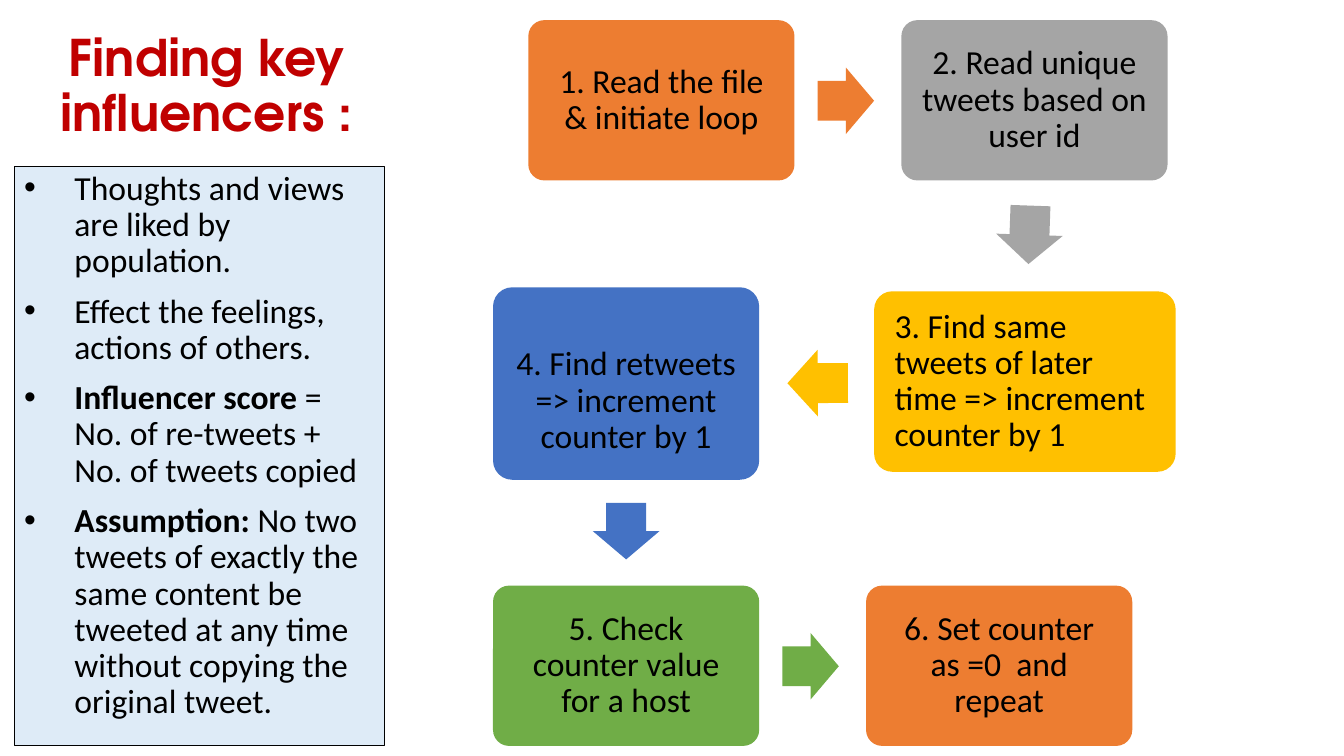
from lxml import etree
from pptx import Presentation
from pptx.dml.color import RGBColor
from pptx.enum.shapes import MSO_SHAPE
from pptx.enum.text import MSO_ANCHOR, MSO_AUTO_SIZE, PP_ALIGN
from pptx.oxml.ns import qn
from pptx.util import Inches, Pt

RECTANGLE = MSO_SHAPE.RECTANGLE
ROUNDED = MSO_SHAPE.ROUNDED_RECTANGLE
ARROW = MSO_SHAPE.RIGHT_ARROW
LEFT, CENTER = PP_ALIGN.LEFT, PP_ALIGN.CENTER
TOP, MIDDLE, BOTTOM = MSO_ANCHOR.TOP, MSO_ANCHOR.MIDDLE, MSO_ANCHOR.BOTTOM

BLACK = RGBColor(0x00, 0x00, 0x00)
RED = RGBColor(0xC0, 0x00, 0x00)
PALE_BLUE = RGBColor(0xDE, 0xEB, 0xF7)
ORANGE = RGBColor(0xED, 0x7D, 0x31)
GRAY = RGBColor(0xA5, 0xA5, 0xA5)
YELLOW = RGBColor(0xFF, 0xC0, 0x00)
BLUE = RGBColor(0x44, 0x72, 0xC4)
GREEN = RGBColor(0x70, 0xAD, 0x47)

TITLE = "Finding key influencers :"
TITLE_BOX = (-0.7, 0.7, 5.5, 0.76)
NOTES_BOX = (0.14, 1.65, 3.67, 5.75)
# (bold lead, plain text)
NOTES = [
    ("", "Thoughts and views are liked by population."),
    ("", "Effect the feelings, actions of others."),
    ("Influencer score ", "= No. of re-tweets + No. of tweets copied"),
    ("Assumption: ", "No two tweets of exactly the same content be tweeted "
                     "at any time without copying the original tweet."),
]
# (text, box, colour, alignment, top inset)
STEP_INSET = 0.15
STEPS = [
    ("1. Read the file & initiate loop",
     (5.24, 0.2, 2.64, 1.59), ORANGE, CENTER, STEP_INSET),
    ("2. Read unique tweets based on user id",
     (8.94, 0.2, 2.64, 1.59), GRAY, CENTER, STEP_INSET),
    ("3. Find same tweets of later time => increment counter by 1",
     (8.67, 2.89, 2.99, 1.79), YELLOW, LEFT, STEP_INSET),
    ("4. Find retweets => increment counter by 1",
     (4.89, 2.85, 2.64, 1.91), BLUE, CENTER, 0.5),
    ("5. Check counter value for a host",
     (4.89, 5.81, 2.64, 1.59), GREEN, CENTER, STEP_INSET),
    ("6. Set counter as =0  and repeat",
     (8.59, 5.81, 2.64, 1.59), ORANGE, CENTER, STEP_INSET),
]
# (box, rotation) of the arrow that leaves each step but the last
ARROWS = [
    ((8.11, 0.67, 0.56, 0.66), 0),
    ((9.92, 2.0, 0.58, 0.66), 92),
    ((7.81, 3.47, 0.6, 0.66), 179.8),
    ((5.93, 4.94, 0.56, 0.66), 90),
    ((7.76, 6.28, 0.56, 0.66), 0),
]

BODY_FONT = {"name": "Calibri", "size": Pt(24), "bold": False}
TITLE_FONT = {"name": "TeX Gyre Adventor", "size": Pt(36), "bold": True}


def set_attributes(target, values):
    for name, value in values.items():
        setattr(target, name, value)


def add_filled_shape(slide, kind, box, color):
    shape = slide.shapes.add_shape(kind, *map(Inches, box))
    shape.shadow.inherit = False
    shape.fill.solid()
    shape.fill.fore_color.rgb = color
    shape.line.fill.background()
    return shape


def add_text(paragraph, text, font, color=BLACK):
    run = paragraph.add_run()
    run.text = text
    set_attributes(run.font, font)
    run.font.color.rgb = color


def add_bullet(paragraph):
    properties = paragraph._p.get_or_add_pPr()
    properties.set("marL", str(Inches(0.5)))
    properties.set("indent", str(-Inches(0.5)))
    etree.SubElement(properties, qn("a:buFont"), typeface="Arial")
    etree.SubElement(properties, qn("a:buChar"), char="•")


def add_title(slide):
    title = slide.shapes.title
    left, top, width, height = map(Inches, TITLE_BOX)
    set_attributes(title, {"left": left, "top": top, "width": width, "height": height})
    set_attributes(title.text_frame, {
        "vertical_anchor": BOTTOM, "word_wrap": True, "auto_size": MSO_AUTO_SIZE.NONE})
    paragraph = title.text_frame.paragraphs[0]
    set_attributes(paragraph, {"alignment": CENTER, "line_spacing": 0.9})
    add_text(paragraph, TITLE, TITLE_FONT, RED)


def add_notes_panel(slide):
    panel = add_filled_shape(slide, RECTANGLE, NOTES_BOX, PALE_BLUE)
    panel.line.color.rgb = BLACK
    panel.line.width = Pt(0.75)
    frame = panel.text_frame
    set_attributes(frame, {"vertical_anchor": TOP, "word_wrap": True})
    for index, (lead, text) in enumerate(NOTES):
        paragraph = frame.add_paragraph() if index else frame.paragraphs[0]
        add_bullet(paragraph)
        set_attributes(paragraph, {
            "alignment": LEFT, "line_spacing": 0.9, "space_before": Pt(10 if index else 0)})
        if lead:
            add_text(paragraph, lead, {**BODY_FONT, "bold": True})
        add_text(paragraph, text, BODY_FONT)


def add_step(slide, text, box, color, alignment, top_inset):
    step = add_filled_shape(slide, ROUNDED, box, color)
    step.adjustments[0] = 0.1
    inset = Inches(STEP_INSET)
    set_attributes(step.text_frame, {
        "vertical_anchor": MIDDLE, "word_wrap": True, "margin_left": inset,
        "margin_right": inset, "margin_bottom": inset, "margin_top": Inches(top_inset)})
    paragraph = step.text_frame.paragraphs[0]
    set_attributes(paragraph, {"alignment": alignment, "line_spacing": 0.9})
    add_text(paragraph, text, BODY_FONT)


def main():
    presentation = Presentation()
    presentation.slide_width = Inches(13.33)
    presentation.slide_height = Inches(7.5)
    slide = presentation.slides.add_slide(presentation.slide_layouts[5])
    add_title(slide)
    add_notes_panel(slide)
    for step in STEPS:
        add_step(slide, *step)
    for (box, rotation), (_, _, color, _, _) in zip(ARROWS, STEPS):
        arrow = add_filled_shape(slide, ARROW, box, color)
        arrow.adjustments[0] = 0.6
        arrow.rotation = rotation
    presentation.save("out.pptx")


if __name__ == "__main__":
    main()
